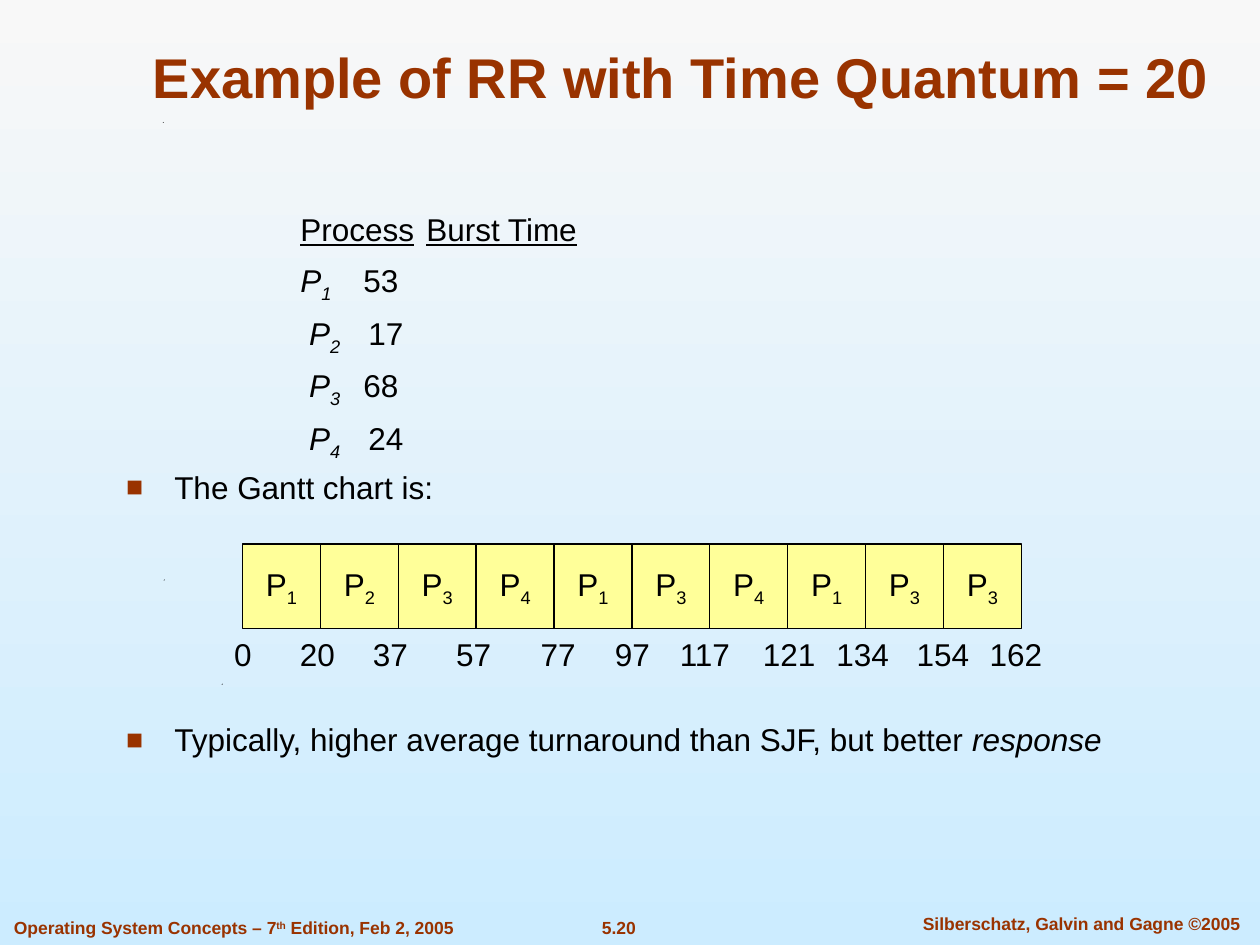
from lxml import etree
from pptx import Presentation
from pptx.dml.color import RGBColor
from pptx.enum.shapes import MSO_SHAPE
from pptx.enum.text import MSO_ANCHOR, MSO_AUTO_SIZE, PP_ALIGN
from pptx.oxml.ns import qn
from pptx.util import Cm, Pt

RECTANGLE = MSO_SHAPE.RECTANGLE
LEFT, CENTER = PP_ALIGN.LEFT, PP_ALIGN.CENTER
MIDDLE, BOTTOM, TOP = MSO_ANCHOR.MIDDLE, MSO_ANCHOR.BOTTOM, MSO_ANCHOR.TOP
NO_AUTOFIT = MSO_AUTO_SIZE.NONE

COLORS = {"rust": "993300", "ink": "000000", "cell": "FFFF99",
          "sky_top": "F8F8F8", "sky_bottom": "CCECFF"}
BASELINES = {"sub": "-25000", "sup": "30000"}

PROCESS_ROWS = [
    [("Process", "u"), ("\t", ""), ("Burst Time", "u")],
    [("P", "i"), ("1\t", "i sub"), ("53", "")],
    [(" ", ""), ("P", "i"), ("2\t ", "i sub"), ("17", "")],
    [(" ", ""), ("P", "i"), ("3\t", "i sub"), ("68", "")],
    [(" ", ""), ("P", "i"), ("4\t ", "i sub"), ("24", "")],
]
BULLETS = [
    ([("The Gantt chart is:", "")], 7.9),
    ([("Typically, higher average turnaround than SJF, but better ", ""),
      ("response", "i")], 125),  # leaves room for the Gantt chart
]
GANTT_ORDER = "1234134133"
# time label: centre in cm
TIME_MARKS = {"0": 4.9, "20": 6.4, "37": 7.87, "57": 9.55, "77": 11.25,
              "97": 12.75, "117": 14.21, "121": 15.91, "134": 17.39,
              "154": 19.01, "162": 20.48}
CELL_LEFT, CELL_TOP, CELL_WIDTH, CELL_HEIGHT = 4.89, 10.97, 1.57, 1.7


def rgb(name):
    return RGBColor.from_string(COLORS[name])


def write(para, spans, size, color="ink", bold=False, align=LEFT):
    """Fill a paragraph with (text, style words) spans."""
    para.alignment = align
    font = para.font
    font.name, font.size, font.bold = "Arial", Pt(size), bold
    font.color.rgb = rgb(color)
    for text, style in spans:
        span = para.add_run()
        span.text = text
        for word in style.split():
            if word == "i":
                span.font.italic = True
            elif word == "u":
                span.font.underline = True
            else:
                span._r.get_or_add_rPr().set("baseline", BASELINES[word])


def set_frame(shape, anchor, wrap=True):
    frame = shape.text_frame
    frame.auto_size = NO_AUTOFIT
    frame.word_wrap = wrap
    frame.vertical_anchor = anchor
    return frame


def place(shape, left, top, width, height):
    shape.left, shape.top = Cm(left), Cm(top)
    shape.width, shape.height = Cm(width), Cm(height)


def set_bullet(para, char):
    """Give the paragraph a bullet, or none when char is empty."""
    properties = para._p.get_or_add_pPr()
    if not char:
        etree.SubElement(properties, qn("a:buNone"))
        return
    color = etree.SubElement(properties, qn("a:buClr"))
    etree.SubElement(color, qn("a:srgbClr"), val=COLORS["rust"])
    etree.SubElement(properties, qn("a:buSzPct"), val="90000")
    etree.SubElement(properties, qn("a:buFont"), typeface="Arial")
    etree.SubElement(properties, qn("a:buChar"), char=char)


def add_body_line(frame, spans, bullet, margin, indent, space_before):
    first = not frame.paragraphs[0].runs
    para = frame.paragraphs[0] if first else frame.add_paragraph()
    properties = para._p.get_or_add_pPr()
    properties.set("marL", str(Cm(margin)))
    properties.set("indent", str(Cm(indent)))
    set_bullet(para, bullet)
    para.line_spacing = 0.9
    para.space_before = Pt(0 if first else space_before)
    write(para, spans, 18)


def fill_body(body):
    place(body, 2.29, 4.19, 20.42, 12.45)
    frame = set_frame(body, TOP)
    for spans in PROCESS_ROWS:
        add_body_line(frame, spans, "", 3.51, 0, 7.9)
    for spans, space_before in BULLETS:
        add_body_line(frame, spans, "■", 0.97, -0.97, space_before)


def add_label(shapes, spans, left, top, width, height, size,
              color="ink", bold=False, align=CENTER, anchor=MIDDLE):
    box = shapes.add_textbox(Cm(left), Cm(top), Cm(width), Cm(height))
    frame = set_frame(box, anchor, wrap=align == CENTER and bold)
    write(frame.paragraphs[0], spans, size, color, bold, align)


def add_gantt_cell(shapes, index, process):
    cell = shapes.add_shape(RECTANGLE, Cm(CELL_LEFT + index * CELL_WIDTH),
                            Cm(CELL_TOP), Cm(CELL_WIDTH), Cm(CELL_HEIGHT))
    cell.shadow.inherit = False
    cell.fill.solid()
    cell.fill.fore_color.rgb = rgb("cell")
    cell.line.color.rgb = rgb("ink")
    cell.line.width = Pt(0.75)
    frame = set_frame(cell, MIDDLE, wrap=False)
    write(frame.paragraphs[0], [("P", ""), (process, "sub")], 18, align=CENTER)


def add_gantt(slide):
    shapes = slide.shapes.add_group_shape().shapes
    for index, process in enumerate(GANTT_ORDER):
        add_gantt_cell(shapes, index, process)
    for time, center in TIME_MARKS.items():
        width = 0.5 + 0.35 * len(time)
        add_label(shapes, [(time, "")], center - width / 2,
                  CELL_TOP + CELL_HEIGHT, width, 1.02, 18)


def add_speck(slide, left, top):
    """Add one of the tiny ornaments of the page design."""
    size = Cm(0.02)
    x, y = Cm(left), Cm(top)
    builder = slide.shapes.build_freeform(x, y + size)
    builder.add_line_segments([(x + size, y), (x + size, y + size)])
    speck = builder.convert_to_shape()
    speck.shadow.inherit = False
    speck.fill.solid()
    speck.fill.fore_color.rgb = rgb("ink")
    speck.line.fill.background()


def add_footer(slide):
    style = {"size": 10, "color": "rust", "bold": True, "anchor": TOP}
    add_label(slide.shapes, [("5.20", "")], 11.23, 18.36, 2.49, 0.69, **style)
    add_label(slide.shapes, [("Silberschatz, Galvin and Gagne ©2005", "")],
              18.03, 18.29, 7.54, 0.69, **style)
    add_label(slide.shapes, [("Operating System Concepts – 7", ""),
                             ("th", "sup"), (" Edition, Feb 2, 2005", "")],
              0.03, 18.36, 9.37, 0.69, align=LEFT, **style)


def set_background(slide):
    fill = slide.background.fill
    fill.gradient()
    fill.gradient_angle = 270
    for stop, name in zip(fill.gradient_stops, ("sky_top", "sky_bottom")):
        stop.color.rgb = rgb(name)


def main():
    deck = Presentation()
    deck.slide_width, deck.slide_height = Cm(25.4), Cm(19.05)
    slide = deck.slides.add_slide(deck.slide_layouts[1])
    set_background(slide)
    title, body = slide.placeholders
    place(title, 2.54, 0, 22.38, 2.34)
    frame = set_frame(title, BOTTOM)
    write(frame.paragraphs[0], [("Example of RR with Time Quantum = 20", "")],
          32, "rust", bold=True, align=CENTER)
    fill_body(body)
    add_gantt(slide)
    add_footer(slide)
    for left, top in ((4.47, 13.78), (3.3, 11.68), (3.28, 2.46)):
        add_speck(slide, left, top)
    deck.save("out.pptx")


if __name__ == "__main__":
    main()
